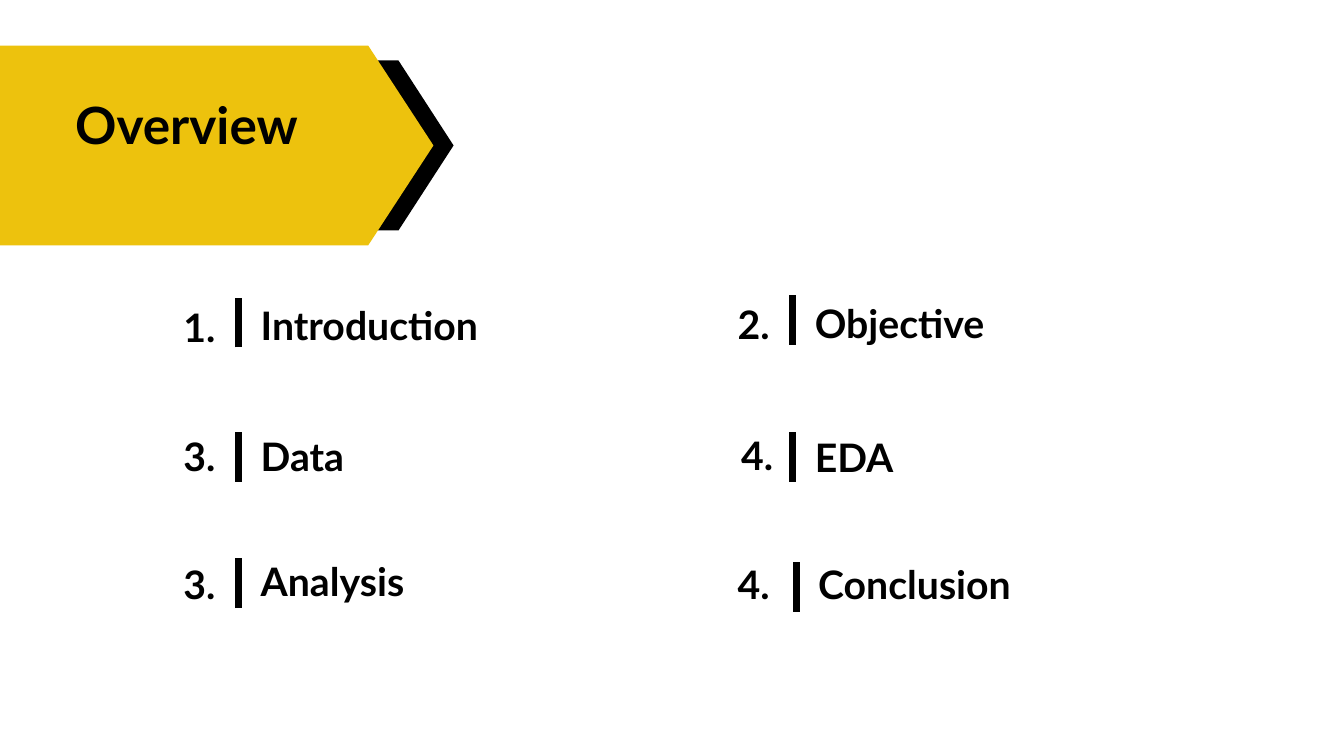
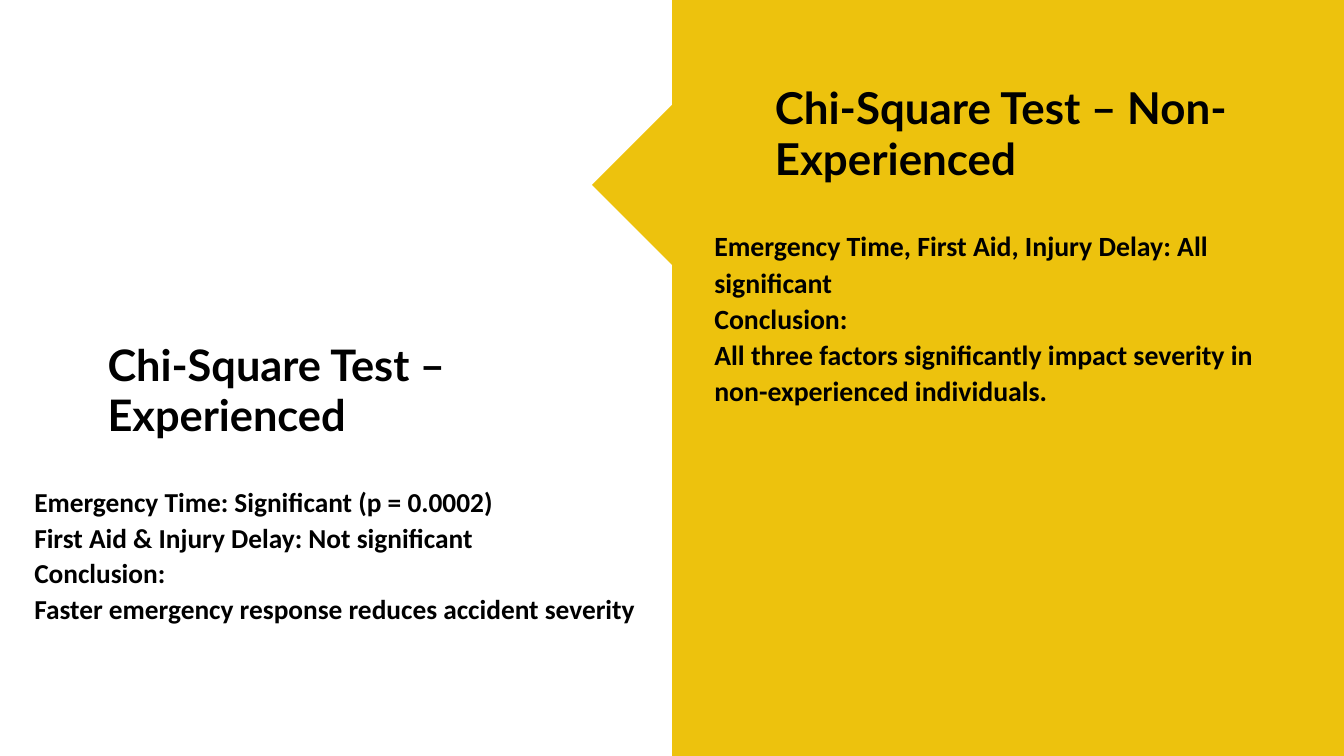
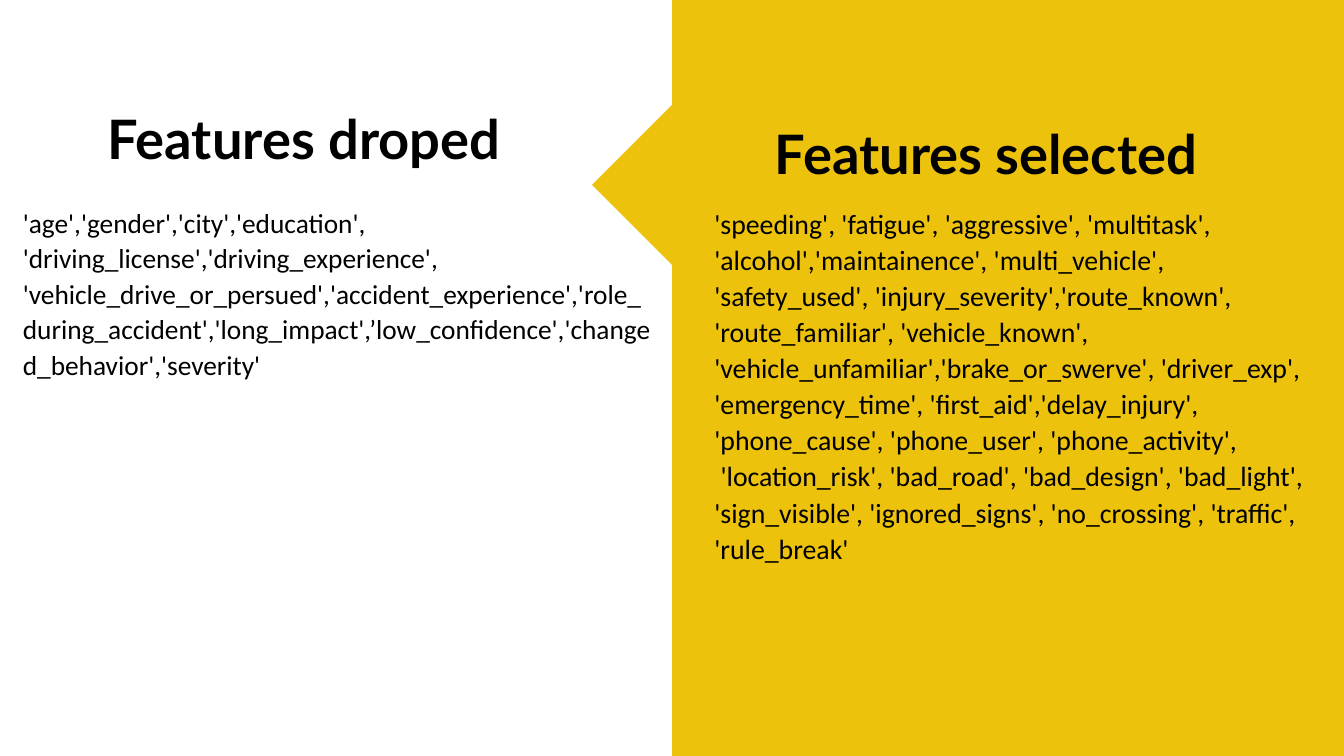
from dataclasses import dataclass

from lxml.etree import SubElement
from pptx import Presentation
from pptx.dml.color import RGBColor
from pptx.enum.shapes import MSO_CONNECTOR as Connector
from pptx.enum.text import MSO_AUTO_SIZE as AutoSize, PP_ALIGN as Align
from pptx.oxml.ns import qn
from pptx.slide import Slide
from pptx.util import Inches, Pt

COLORS = {"ink": "000000", "accent": "EDC20D"}
HEADING_FONT = "Lato"
BODY_FONT = "Calibri"

WIDTH, HEIGHT = Inches(20), Inches(11.25)
COLUMNS, ROWS = 80, 45
MIDDLE = COLUMNS / 2

NUMBER_OFFSET, BAR_OFFSET, LABEL_OFFSET = 0, 3.3, 4.6
BAR_ROWS = 2.96
LEFT_LIST, RIGHT_LIST = 10.92, 43.9


@dataclass(frozen=True)
class AgendaItem:
    number: str
    label: str
    left: float
    number_top: float
    bar_top: float
    label_top: float
    number_shift: float = 0
    label_shift: float = 0


@dataclass(frozen=True)
class TextBlock:
    paragraphs: tuple[str, ...]
    left: float
    top: float
    width: float
    height: float
    size: float
    spacing: float
    font: str = HEADING_FONT
    bold: bool = True
    align: Align = Align.LEFT
    last_indent: float = 0


AGENDA = (
    AgendaItem("1.", "Introduction", LEFT_LIST, 18.16, 17.72, 18.08),
    AgendaItem("2.", "Objective", RIGHT_LIST, 18, 17.56, 17.92),
    AgendaItem("3.", "Data", LEFT_LIST, 25.84, 25.72, 25.84),
    AgendaItem("4.", "EDA", RIGHT_LIST, 25.76, 25.72, 25.92, number_shift=0.22),
    AgendaItem("3.", "Analysis", LEFT_LIST, 33.48, 33.24, 33.28),
    AgendaItem("4.", "Conclusion", RIGHT_LIST, 33.48, 33.44, 33.48, label_shift=0.2),
)

CHI_SQUARE = (
    TextBlock(("Chi-Square Test – Experienced",), 6.4, 20.24, 28.84, 5.96, 46.5, 53.4),
    TextBlock(("Chi-Square Test – Non-Experienced",), 46.12, 4.96, 31.64, 6.04, 47, 54),
    TextBlock(
        (
            "Emergency Time: Significant (p = 0.0002)",
            "First Aid & Injury Delay: Not significant",
            "Conclusion:",
            "Faster emergency response reduces accident severity",
        ),
        2.04, 28.72, 37.52, 12.72, 29.3, 38.1, BODY_FONT, align=Align.JUSTIFY,
    ),
    TextBlock(
        (
            "Emergency Time, First Aid, Injury Delay: All significant",
            "Conclusion:",
            "All three factors significantly impact severity in non-experienced individuals.",
        ),
        42.52, 13.48, 35.24, 12.96, 29.8, 38.7, BODY_FONT,
    ),
)

FEATURES = (
    TextBlock(("Features droped",), 6.4, 6.4, 24.16, 3.72, 58.2, 66.9),
    TextBlock(("Features selected",), 46.12, 7.32, 25.76, 3.72, 58.2, 66.9),
    TextBlock(
        (
            "'age','gender','city','education', 'driving_license','driving_experience', "
            "'vehicle_drive_or_persued','accident_experience','role_during_accident',"
            "'long_impact',’low_confidence','changed_behavior','severity'",
        ),
        1.36, 12.08, 37.52, 12.76, 29.3, 38.1, BODY_FONT, False, Align.JUSTIFY,
    ),
    TextBlock(
        (
            "'speeding', 'fatigue', 'aggressive', 'multitask', 'alcohol','maintainence', "
            "'multi_vehicle', 'safety_used', 'injury_severity','route_known', "
            "'route_familiar', 'vehicle_known', 'vehicle_unfamiliar','brake_or_swerve', "
            "'driver_exp', 'emergency_time', 'first_aid','delay_injury', 'phone_cause', "
            "'phone_user', 'phone_activity',",
            "'location_risk', 'bad_road', 'bad_design', 'bad_light', 'sign_visible', "
            "'ignored_signs', 'no_crossing', 'traffic', 'rule_break'",
        ),
        42.52, 12.12, 35.24, 25.8, 29.8, 38.7, BODY_FONT, False, last_indent=0.37,
    ),
)


def across(columns: float) -> int:
    return round(WIDTH * columns / COLUMNS)


def down(rows: float) -> int:
    return round(HEIGHT * rows / ROWS)


def color(name: str) -> RGBColor:
    return RGBColor.from_string(COLORS[name])


def add_text(slide: Slide, text: str | tuple[str, ...], *, left: float, top: float,
             width: float, height: float, size: float, spacing: float,
             font: str = HEADING_FONT, bold: bool = True,
             align: Align = Align.LEFT, last_indent: float = 0) -> None:
    shape = slide.shapes.add_textbox(across(left), down(top), across(width), down(height))
    frame = shape.text_frame
    frame.margin_left = frame.margin_right = frame.margin_top = frame.margin_bottom = 0
    frame.word_wrap = True
    frame.auto_size = AutoSize.SHAPE_TO_FIT_TEXT
    frame.text = text if isinstance(text, str) else "\n".join(text)
    for paragraph in frame.paragraphs:
        paragraph.alignment = align
        paragraph.line_spacing = Pt(spacing)
        for run in paragraph.runs:
            run.font.name = font
            run.font.size = Pt(size)
            run.font.bold = bold
            run.font.color.rgb = color("ink")
    if last_indent:
        properties = frame.paragraphs[-1]._p.get_or_add_pPr()
        properties.set("marL", "0")
        properties.set("indent", str(across(last_indent)))


def add_block(slide: Slide, block: TextBlock) -> None:
    add_text(slide, block.paragraphs, left=block.left, top=block.top,
             width=block.width, height=block.height, size=block.size,
             spacing=block.spacing, font=block.font, bold=block.bold,
             align=block.align, last_indent=block.last_indent)


def add_outline(slide: Slide, points: list[tuple[float, float]], fill: str) -> None:
    corners = [(across(x), down(y)) for x, y in points]
    builder = slide.shapes.build_freeform(*corners[0])
    builder.add_line_segments(corners[1:], close=True)
    shape = builder.convert_to_shape()
    shape.shadow.inherit = False
    shape.fill.solid()
    shape.fill.fore_color.rgb = color(fill)
    shape.line.fill.background()


def add_arrow_band(slide: Slide, left: float, shoulder: float, tip: float,
                   top: float, bottom: float, fill: str) -> None:
    middle = (top + bottom) / 2
    add_outline(slide, [(left, top), (shoulder, top), (tip, middle),
                        (shoulder, bottom), (left, bottom)], fill)


def add_bar(slide: Slide, left: float, top: float) -> None:
    line = slide.shapes.add_connector(
        Connector.STRAIGHT, across(left), down(top + BAR_ROWS), across(left), down(top))
    line.line.color.rgb = color("ink")
    line.line.width = Pt(7.5)
    SubElement(line._element.spPr, qn("a:effectLst"))


def add_agenda_item(slide: Slide, item: AgendaItem) -> None:
    body_left = item.left + item.label_shift
    add_bar(slide, body_left + BAR_OFFSET, item.bar_top)
    add_text(slide, item.number, left=item.left + NUMBER_OFFSET + item.number_shift,
             top=item.number_top, width=3.12, height=2.76, size=42, spacing=48.3)
    add_text(slide, item.label, left=body_left + LABEL_OFFSET, top=item.label_top,
             width=24, height=2.76, size=42, spacing=48.3)


def build_overview(slide: Slide) -> None:
    add_arrow_band(slide, 19.28, 23.72, 27, 3.6, 13.72, "ink")
    add_arrow_band(slide, 0, 21.92, 25.8, 2.72, 14.6, "accent")
    add_text(slide, "Overview", left=4.48, top=5.68, width=16.52, height=3.52,
             size=55, spacing=63.2)
    for item in AGENDA:
        add_agenda_item(slide, item)


def build_comparison(slide: Slide, blocks: tuple[TextBlock, ...]) -> None:
    add_outline(slide, [(MIDDLE, 0), (COLUMNS, 0), (COLUMNS, ROWS), (MIDDLE, ROWS)], "accent")
    add_outline(slide, [(MIDDLE, 6.24), (35.24, 11), (MIDDLE, 15.76)], "accent")
    for block in blocks:
        add_block(slide, block)


def main() -> None:
    presentation = Presentation()
    presentation.slide_width, presentation.slide_height = WIDTH, HEIGHT
    blank = presentation.slide_layouts[6]
    build_overview(presentation.slides.add_slide(blank))
    for blocks in (CHI_SQUARE, FEATURES):
        build_comparison(presentation.slides.add_slide(blank), blocks)
    presentation.save("out.pptx")


if __name__ == "__main__":
    main()
